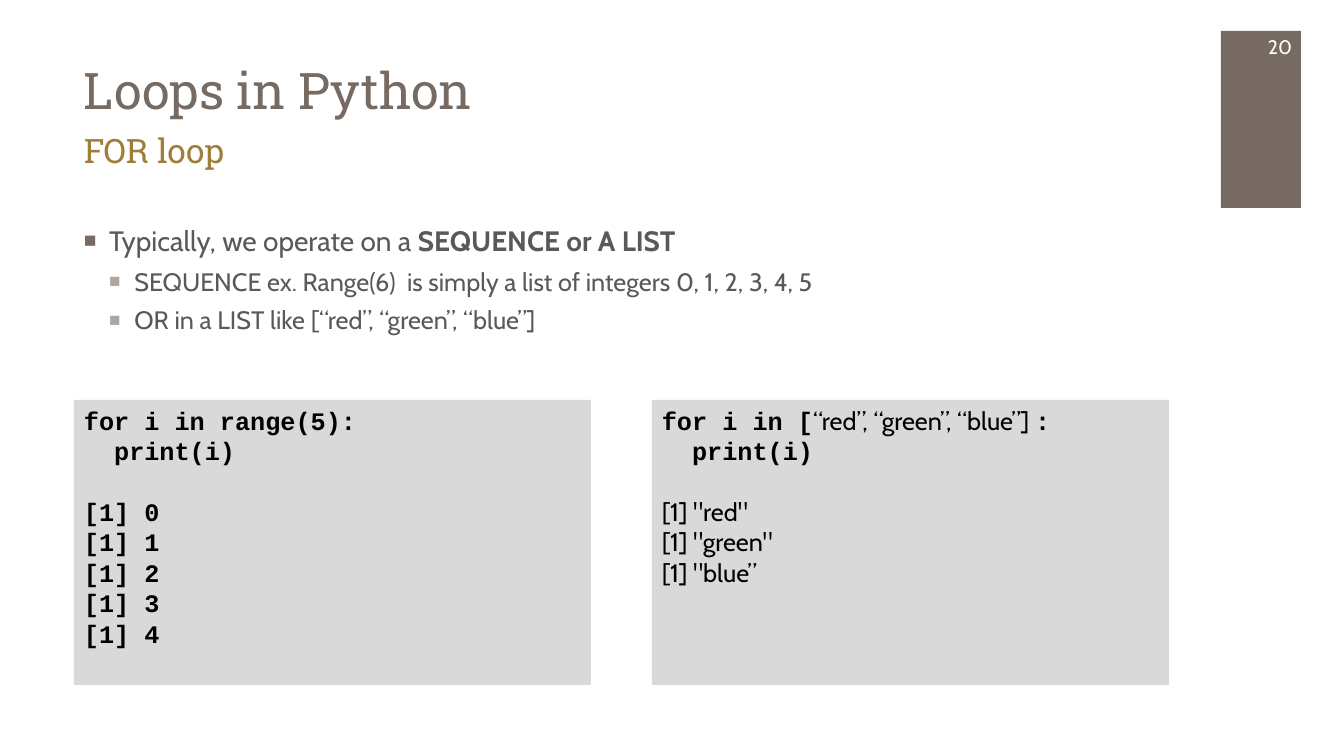
from lxml import etree
from pptx import Presentation
from pptx.dml.color import RGBColor
from pptx.enum.shapes import MSO_SHAPE as SHAPE
from pptx.enum.text import MSO_ANCHOR as ANCHOR, PP_ALIGN as ALIGN
from pptx.oxml.ns import qn
from pptx.util import Pt

PX = 914400 / 100.8
BROWN = RGBColor(0x76, 0x6A, 0x62)
TAUPE = RGBColor(0xAF, 0xA5, 0x9F)
GOLD = RGBColor(0x9E, 0x7E, 0x38)
GRAY = RGBColor(0x59, 0x59, 0x59)
PANEL = RGBColor(0xD9, 0xD9, 0xD9)
BLACK = RGBColor(0, 0, 0)
WHITE = RGBColor(0xFF, 0xFF, 0xFF)
SERIF, SANS, MONO = "Roboto Slab", "Cabin", "Courier New"


def box(left, top, width, height, fill=None, anchor=ANCHOR.TOP):
    place = [round(v * PX) for v in (left, top, width, height)]
    if fill is None:
        sp = s.shapes.add_textbox(*place)
    else:
        sp = s.shapes.add_shape(SHAPE.RECTANGLE, *place)
        sp.shadow.inherit = False
        sp.fill.solid()
        sp.fill.fore_color.rgb = fill
        sp.line.fill.background()
    sp.text_frame.word_wrap = True
    sp.text_frame.vertical_anchor = anchor
    return sp.text_frame


def write(tf, *runs, size=18, font=SANS, color=BLACK, bold=False, align=ALIGN.LEFT,
          before=0, spacing=None, level=0, bullet=None):
    p = tf.paragraphs[0]
    if p.runs:
        p = tf.add_paragraph()
    p.alignment = align
    p.level = level
    p.space_before = Pt(before)
    if spacing:
        p.line_spacing = spacing
    if bullet:
        pPr = p._p.get_or_add_pPr()
        pPr.set("marL", str(228600 * (level + 1)))
        pPr.set("indent", "-228600")
        bu_color = etree.SubElement(pPr, qn("a:buClr"))
        etree.SubElement(bu_color, qn("a:srgbClr"), val=str(bullet))
        etree.SubElement(pPr, qn("a:buSzPct"), val="75000")
        etree.SubElement(pPr, qn("a:buFont"), typeface="Arial")
        etree.SubElement(pPr, qn("a:buChar"), char="■")
    for run in runs:
        text, run_font, run_bold = run if isinstance(run, tuple) else (run, font, bold)
        r = p.add_run()
        r.text = text
        r.font.name = run_font
        r.font.size = Pt(size)
        r.font.bold = run_bold
        r.font.color.rgb = color


prs = Presentation()
prs.slide_width, prs.slide_height = round(1344 * PX), round(756 * PX)
s = prs.slides.add_slide(prs.slide_layouts[6])

box(1221, 31, 80, 177, fill=BROWN)
tf = box(1221, 26, 81, 41, anchor=ANCHOR.MIDDLE)
write(tf, "20", size=14, color=WHITE, align=ALIGN.RIGHT)

tf = box(74, 15, 1111, 110, anchor=ANCHOR.BOTTOM)
write(tf, "Loops in Python", size=36, font=SERIF, color=BROWN, spacing=0.9)
tf = box(74, 125, 1111, 86)
write(tf, "FOR loop", size=24, font=SERIF, color=GOLD)

tf = box(74, 219, 1111, 158)
write(tf, "Typically, we operate on a ", ("SEQUENCE or A LIST", SANS, True),
      size=20, color=GRAY, bullet=BROWN)
for text in ("SEQUENCE ex. Range(6)  is simply a list of integers 0, 1, 2, 3, 4, 5",
             "OR in a LIST like [“red”, “green”, “blue”]"):
    write(tf, text, color=GRAY, before=6, level=1, bullet=TAUPE)

range_head = [("for i in range(5):", MONO, True)]
list_head = [("for i in [", MONO, True), ("“red”, “green”, “blue”] ", SANS, False),
             (":", MONO, True)]
range_output = [f"[1] {i}" for i in range(5)]
list_output = ['[1] "red"', '[1] "green"', '[1] "blue”']
LINE = Pt(21.7)
for left, head, output, font in ((74, range_head, range_output, MONO),
                                 (652, list_head, list_output, SANS)):
    tf = box(left, 400, 517, 285, fill=PANEL)
    write(tf, *head, spacing=LINE)
    write(tf, "  print(i)", font=MONO, bold=True, spacing=LINE)
    for i, text in enumerate(output):
        write(tf, text, font=font, bold=font == MONO, spacing=LINE,
              before=21.7 if i == 0 else 0)

prs.save("out.pptx")
